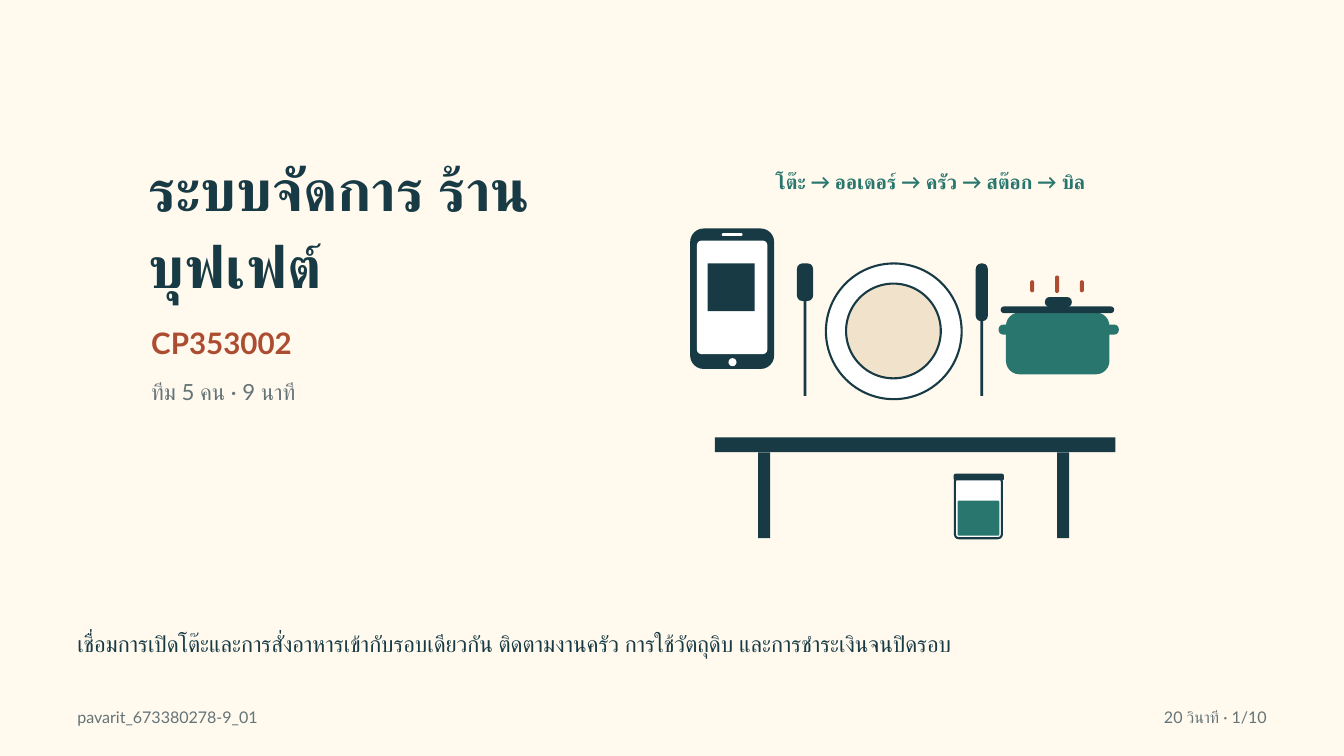
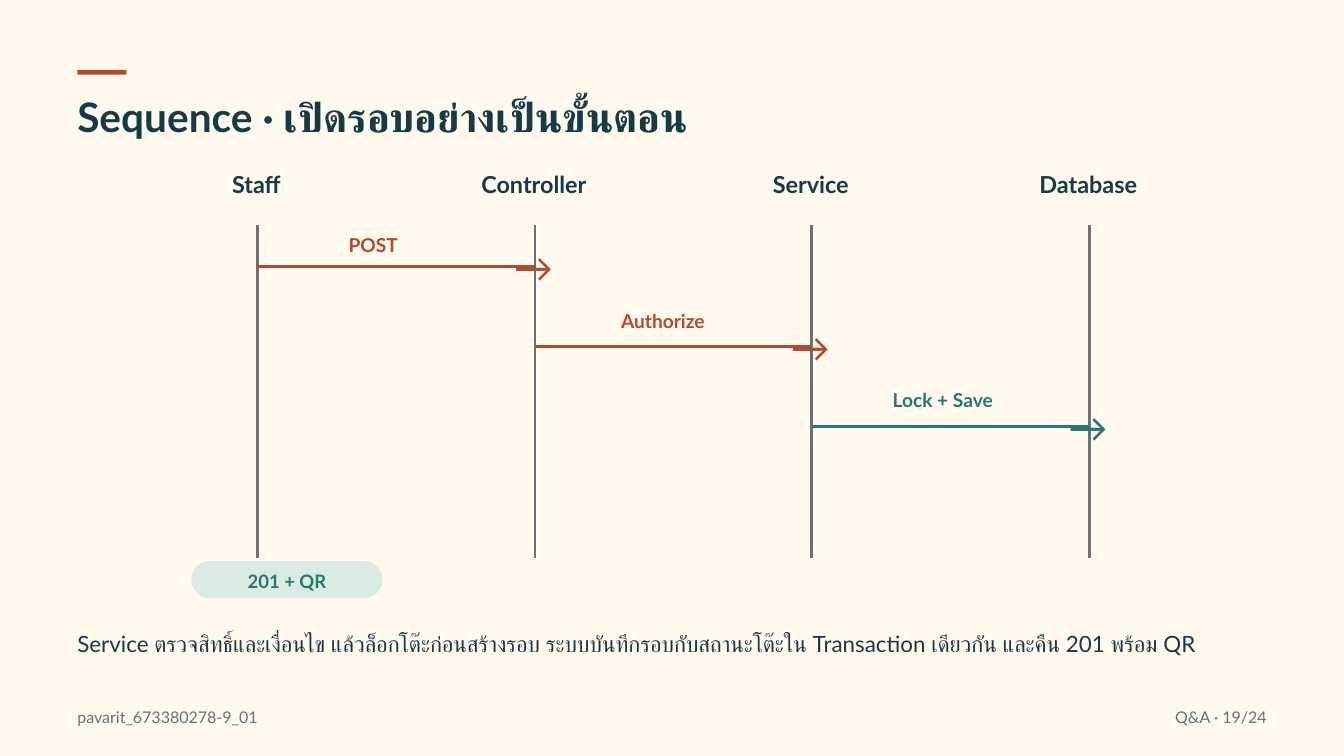
from dataclasses import dataclass

from lxml.etree import SubElement
from pptx import Presentation
from pptx.dml.color import RGBColor
from pptx.enum.shapes import MSO_CONNECTOR, MSO_SHAPE
from pptx.enum.text import MSO_ANCHOR, MSO_AUTO_SIZE, PP_ALIGN
from pptx.oxml.ns import qn
from pptx.util import Pt

PX = 9144  # 100 px to the inch
PAGE_WIDTH, PAGE_HEIGHT = 2000, 1125


@dataclass(frozen=True)
class Theme:
    font: str = "Lato"
    leading: float = 1.34
    paper: str = "FFF9EE"
    white: str = "FFFFFF"
    ink: str = "173A45"
    rust: str = "AC4D31"
    teal: str = "28766D"
    grey: str = "647477"
    sand: str = "F1E3CB"
    mint: str = "DAEBE4"
    cover: float = 62
    title: float = 43.5
    arrow: float = 42.2
    code: float = 31.7
    lane: float = 25.1
    body: float = 24
    team: float = 23.8
    flow: float = 21.1
    message: float = 20.5
    pill: float = 19.8
    footer: float = 17.2
    outline: float = 2.25
    line: float = 2.75


THEME = Theme()
LEFT, CENTER, RIGHT = PP_ALIGN.LEFT, PP_ALIGN.CENTER, PP_ALIGN.RIGHT
FOOTER = "pavarit_673380278-9_01"

COVER = {
    "title": "ระบบจัดการ ร้านบุฟเฟต์",
    "code": "CP353002",
    "team": "ทีม 5 คน · 9 นาที",
    "flow": "โต๊ะ → ออเดอร์ → ครัว → สต๊อก → บิล",
    "summary": "เชื่อมการเปิดโต๊ะและการสั่งอาหารเข้ากับรอบเดียวกัน "
               "ติดตามงานครัว การใช้วัตถุดิบ และการชำระเงินจนปิดรอบ",
    "page": "20 วินาที · 1/10",
}

# Each part: (left, top, width, height), colour, corner radius
TABLE = [
    ((1064, 651, 596, 22), THEME.ink, 0),
    ((1128, 673, 18, 128), THEME.ink, 0),
    ((1573, 673, 18, 128), THEME.ink, 0),
]
CUTLERY = [
    ((1196, 397, 4, 192), THEME.ink, 0),
    ((1459, 397, 4, 192), THEME.ink, 0),
    ((1186, 392, 24, 56), THEME.ink, 8),
    ((1452, 392, 18, 86), THEME.ink, 8),
]
PHONE = [
    ((1027, 340, 125, 209), THEME.ink, 20),
    ((1037, 358, 105, 169), THEME.white, 7),
    ((1074, 347, 31, 4), THEME.white, 2),
    ((1084, 533, 12, 12), THEME.white, 6),
    ((1053, 392, 70, 71), THEME.ink, 0),
]
POT = [
    ((1497, 465, 154, 92), THEME.teal, 20),
    ((1486, 483, 22, 15), THEME.teal, 7),
    ((1643, 483, 22, 15), THEME.teal, 7),
    ((1489, 456, 169, 10), THEME.ink, 5),
    ((1555, 442, 40, 15), THEME.ink, 7),
]
STEAM = [
    ((1533, 417, 6, 18), THEME.rust, 3),
    ((1570, 410, 6, 26), THEME.rust, 3),
    ((1607, 417, 6, 18), THEME.rust, 3),
]
JAR_GLASS = (1421, 711, 70, 90)
JAR_CONTENTS = [
    ((1425, 745, 62, 52), THEME.teal, 2),
    ((1419, 705, 75, 10), THEME.ink, 3),
]
PLATE = [((1229, 392, 202, 202), THEME.white), ((1259, 422, 141, 141), THEME.sand)]

SEQUENCE = {
    "title": "Sequence · เปิดรอบอย่างเป็นขั้นตอน",
    "result": "201 + QR",
    "summary": "Service ตรวจสิทธิ์และเงื่อนไข แล้วล็อกโต๊ะก่อนสร้างรอบ "
               "ระบบบันทึกรอบกับสถานะโต๊ะใน Transaction เดียวกัน และคืน 201 พร้อม QR",
    "page": "Q&A · 19/24",
}
LANES = ["Staff", "Controller", "Service", "Database"]
# Each message runs from its own lane to the next: text, label box, colour
MESSAGES = [
    ("POST", (450, 344, 211, 43), THEME.rust),
    ("Authorize", (858, 457, 257, 43), THEME.rust),
    ("Lock + Save", (1252, 574, 302, 43), THEME.teal),
]
LANE_LEFT, LANE_RIGHT = 383, 1621
LANE_TOP, LANE_BOTTOM = 335, 830
LANE_LABEL_WIDTH = 339
MESSAGE_TOP, MESSAGE_STEP = 397, 119


def emu(lengths):
    return [length * PX for length in lengths]


def rgb(colour):
    return RGBColor.from_string(colour)


def write(shape, text, size, colour, bold=False, align=LEFT):
    frame = shape.text_frame
    frame.word_wrap = True
    frame.margin_left = frame.margin_right = frame.margin_top = frame.margin_bottom = 0
    frame.text = text
    para = frame.paragraphs[0]
    para.alignment = align
    para.line_spacing = Pt(size * THEME.leading)
    for span in para.runs:
        font = span.font
        font.name, font.size, font.bold = THEME.font, Pt(size), bold
        font.color.rgb = rgb(colour)
        for script in ("a:ea", "a:cs"):  # Thai text uses the complex-script font
            SubElement(font._element, qn(script)).set("typeface", THEME.font)


def add_text(page, bounds, text, size, colour, bold=False, align=LEFT):
    box = page.shapes.add_textbox(*emu(bounds))
    write(box, text, size, colour, bold, align)
    box.text_frame.auto_size = MSO_AUTO_SIZE.SHAPE_TO_FIT_TEXT


def add_solid(page, kind, bounds, fill, outline=None):
    shape = page.shapes.add_shape(kind, *emu(bounds))
    shape.shadow.inherit = False
    shape.fill.solid()
    shape.fill.fore_color.rgb = rgb(fill)
    if outline:
        shape.line.color.rgb = rgb(outline)
        shape.line.width = Pt(THEME.outline)
    else:
        shape.line.fill.background()
    return shape


def add_block(page, bounds, fill, radius=0, outline=None):
    """Add a rectangle, with rounded corners when a radius is given."""
    kind = MSO_SHAPE.ROUNDED_RECTANGLE if radius else MSO_SHAPE.RECTANGLE
    block = add_solid(page, kind, bounds, fill, outline)
    if radius:
        block.adjustments[0] = min(0.5, radius / min(bounds[2:]))
    return block


def add_line(page, start, end, colour):
    line = page.shapes.add_connector(MSO_CONNECTOR.STRAIGHT, *emu(start + end))
    line.line.color.rgb = rgb(colour)
    line.line.width = Pt(THEME.line)
    SubElement(line._element.spPr, qn("a:effectLst"))


def add_page(deck, content):
    """Add a slide with the shared background, summary and footer."""
    page = deck.slides.add_slide(deck.slide_layouts[6])
    page.background.fill.solid()
    page.background.fill.fore_color.rgb = rgb(THEME.paper)
    add_text(page, (115, 933, 1771, 93), content["summary"], THEME.body, THEME.ink)
    add_text(page, (115, 1050, 1302, 34), FOOTER, THEME.footer, THEME.grey)
    add_text(page, (1531, 1050, 354, 34), content["page"], THEME.footer, THEME.grey,
             align=RIGHT)
    return page


def build_cover(deck):
    page = add_page(deck, COVER)
    add_text(page, (221, 216, 761, 240), COVER["title"], THEME.cover, THEME.ink, True)
    add_text(page, (225, 478, 605, 64), COVER["code"], THEME.code, THEME.rust, True)
    add_text(page, (225, 558, 605, 47), COVER["team"], THEME.team, THEME.grey)
    add_text(page, (1018, 248, 733, 44), COVER["flow"], THEME.flow, THEME.teal, True, CENTER)
    for bounds, fill in PLATE:
        add_solid(page, MSO_SHAPE.OVAL, bounds, fill, THEME.ink)
    add_block(page, JAR_GLASS, THEME.white, 6, THEME.ink)
    for part in TABLE + CUTLERY + PHONE + POT + STEAM + JAR_CONTENTS:
        add_block(page, *part)


def build_sequence(deck):
    page = add_page(deck, SEQUENCE)
    add_block(page, (115, 104, 73, 7), THEME.rust)
    add_text(page, (115, 129, 1781, 87), SEQUENCE["title"], THEME.title, THEME.ink, True)

    pitch = (LANE_RIGHT - LANE_LEFT) / (len(LANES) - 1)
    lanes = [round(LANE_LEFT + index * pitch) for index in range(len(LANES))]
    for name, x in zip(LANES, lanes):
        label = (x - 2 - LANE_LABEL_WIDTH // 2, 248, LANE_LABEL_WIDTH, 51)
        add_text(page, label, name, THEME.lane, THEME.ink, True, CENTER)
        add_line(page, (x, LANE_TOP), (x, LANE_BOTTOM), THEME.grey)

    for index, (text, label, colour) in enumerate(MESSAGES):
        start, end = lanes[index:index + 2]
        y = MESSAGE_TOP + index * MESSAGE_STEP
        add_line(page, (start, y), (end, y), colour)
        add_text(page, (end - 48, y - 44, 92, 85), "→", THEME.arrow, colour, align=CENTER)
        add_text(page, label, text, THEME.message, colour, True, CENTER)

    result = add_block(page, (285, 835, 284, 55), THEME.mint, 27)
    write(result, SEQUENCE["result"], THEME.pill, THEME.teal, True, CENTER)
    result.text_frame.vertical_anchor = MSO_ANCHOR.MIDDLE


def main():
    deck = Presentation()
    deck.slide_width, deck.slide_height = emu((PAGE_WIDTH, PAGE_HEIGHT))
    build_cover(deck)
    build_sequence(deck)
    deck.save("out.pptx")


if __name__ == "__main__":
    main()
